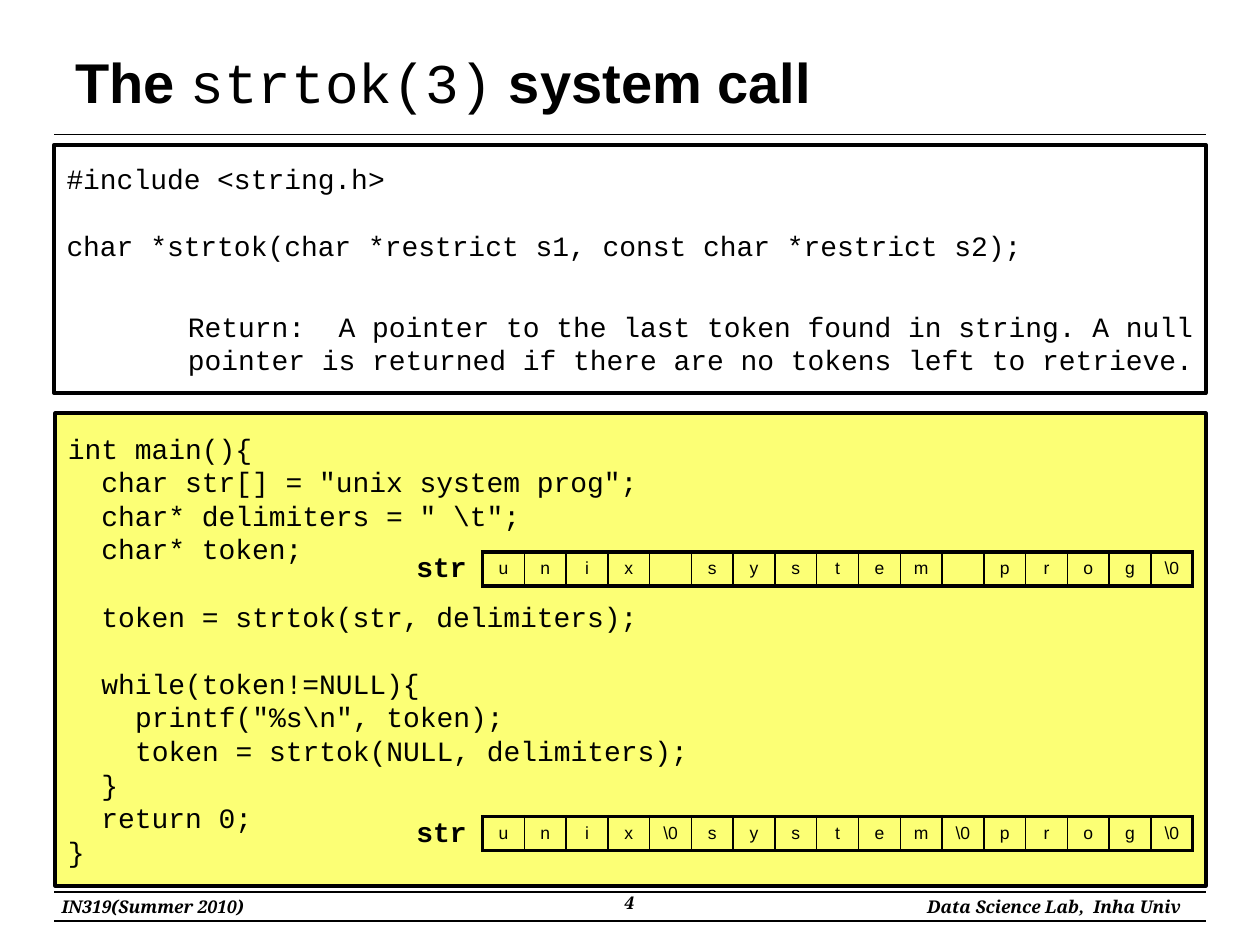
"""Build the strtok(3) slide with its prototype, sample code and memory strips."""
import pptx
import pptx.chart.data
import pptx.dml.color
import pptx.enum.shapes
import pptx.enum.text
import pptx.oxml
import pptx.oxml.ns
import pptx.util
from pptx.util import Inches, Pt

COLORS = {"ink": "000000", "paper": "FFFFFF", "code": "FCFF75"}
ALIGN = pptx.enum.text.PP_ALIGN
MIDDLE = pptx.enum.text.MSO_ANCHOR.MIDDLE
RECTANGLE = pptx.enum.shapes.MSO_SHAPE.RECTANGLE
NAMESPACE = pptx.oxml.ns.nsdecls("a")


def color(name):
    return pptx.dml.color.RGBColor.from_string(COLORS[name])


def style(paragraph, font_name, size, align=ALIGN.LEFT, bold=False, italic=False):
    paragraph.alignment = align
    font = paragraph.font
    font.name, font.size, font.bold, font.italic = font_name, Pt(size), bold, italic
    font.color.rgb = color("ink")


presentation = pptx.Presentation()
presentation.slide_width, presentation.slide_height = Inches(10), Inches(7.5)
slide = presentation.slides.add_slide(presentation.slide_layouts[6])

for y in (1.07, 7.08, 7.31):
    rule = slide.shapes.add_connector(
        pptx.enum.shapes.MSO_CONNECTOR.STRAIGHT, Inches(0.43), Inches(y), Inches(9.57), Inches(y))
    rule.line.color.rgb = color("ink")
    rule.line.width = Pt(0.75)
    rule._element.spPr.append(pptx.oxml.parse_xml(f"<a:effectLst {NAMESPACE}/>"))

title = slide.shapes.add_textbox(Inches(0.5), Inches(0.3), Inches(9), Inches(0.69))
title.text_frame.word_wrap = True
title.text_frame.vertical_anchor = MIDDLE
paragraph = title.text_frame.paragraphs[0]
style(paragraph, "Arial", 32)
for text, font_name, bold in (
        ("The ", "Arial", True), ("strtok(3)", "Courier New", False), (" system call", "Arial", True)):
    run = paragraph.add_run()
    run.text, run.font.name, run.font.bold = text, font_name, bold

labels = [
    ("IN319(Summer 2010)", 0.39, 7.06, 1.76, 0.27, "Noto Serif", 10, ALIGN.LEFT, True),
    ("Data Science Lab,  Inha Univ", 7.16, 7.06, 2.31, 0.27, "Noto Serif", 10, ALIGN.RIGHT, True),
    ("4", 3.83, 7.03, 2.33, 0.31, "Noto Serif", 10, ALIGN.CENTER, True),
]

prototype = [
    ("#include <string.h>", 0, 0, ALIGN.LEFT),
    ("char *strtok(char *restrict s1, const char *restrict s2);", 0, 19.2, ALIGN.LEFT),
    ("Return:  A pointer to the last token found in string. A null pointer is returned "
     "if there are no tokens left to retrieve.", 0, 27, ALIGN.RIGHT),
]
program = [
    ("int main(){", 0, 0, ALIGN.LEFT),
    ('char str[] = "unix system prog";', 1, 0, ALIGN.LEFT),
    ('char* delimiters = " \\t";', 1, 0, ALIGN.LEFT),
    ("char* token;", 1, 0, ALIGN.LEFT),
    ("token = strtok(str, delimiters);", 1, 19.2, ALIGN.LEFT),
    ("while(token!=NULL){", 1, 19.2, ALIGN.LEFT),
    ('printf("%s\\n", token);', 2, 0, ALIGN.LEFT),
    ("token = strtok(NULL, delimiters);", 2, 0, ALIGN.LEFT),
    ("}", 1, 0, ALIGN.LEFT),
    ("return 0;", 1, 0, ALIGN.LEFT),
    ("}", 0, 0, ALIGN.LEFT),
]
for lines, fill, left, top, width, height in (
        (prototype, "paper", 0.43, 1.15, 9.14, 1.97), (program, "code", 0.44, 3.28, 9.13, 3.75)):
    panel = slide.shapes.add_shape(RECTANGLE, Inches(left), Inches(top), Inches(width), Inches(height))
    panel.shadow.inherit = False
    panel.fill.solid()
    panel.fill.fore_color.rgb = color(fill)
    panel.line.color.rgb = color("ink")
    panel.line.width = Pt(2.25)
    frame = panel.text_frame
    frame.word_wrap = True
    frame.vertical_anchor = MIDDLE
    for index, (text, level, gap, align) in enumerate(lines):
        paragraph = frame.add_paragraph() if index else frame.paragraphs[0]
        paragraph.text = text
        style(paragraph, "Courier New", 16, align)
        paragraph.line_spacing = Pt(19.2)
        paragraph.space_before = Pt(gap)
        paragraph._p.get_or_add_pPr().set("marL", str(Inches(0.267 * level)))

for top, separator in ((4.38, ""), (6.48, "\\0")):
    letters = [separator if letter == " " else letter for letter in "unix system prog"] + ["\\0"]
    last = len(letters) - 1
    strip = slide.shapes.add_table(
        1, len(letters), Inches(3.83), Inches(top), Inches(5.64), Inches(0.27))
    table = strip.table
    table.first_row = table.horz_banding = False
    table.rows[0].height = Inches(0.27)
    for index, letter in enumerate(letters):
        table.columns[index].width = Inches(5.64 / len(letters))
        cell = table.cell(0, index)
        cell.margin_left = cell.margin_right = cell.margin_top = cell.margin_bottom = 0
        cell.vertical_anchor = MIDDLE
        cell.text = letter
        style(cell.text_frame.paragraphs[0], "Arial", 10, ALIGN.CENTER)
        properties = cell._tc.get_or_add_tcPr()
        borders = (("L", 1 if index else 2.25), ("R", 1 if index < last else 2.25), ("T", 2.25), ("B", 2.25))
        for side, weight in borders:
            properties.append(pptx.oxml.parse_xml(
                f'<a:ln{side} {NAMESPACE} w="{Pt(weight)}"><a:solidFill>'
                f'<a:srgbClr val="{COLORS["ink"]}"/></a:solidFill></a:ln{side}>'))
        cell.fill.background()
    labels.append(("str", 3.2, top - 0.07, 0.61, 0.37, "Courier New", 16, ALIGN.CENTER, False))

for text, left, top, width, height, font_name, size, align, italic in labels:
    label = slide.shapes.add_textbox(Inches(left), Inches(top), Inches(width), Inches(height))
    label.text_frame.word_wrap = False
    if not italic:
        label.text_frame.vertical_anchor = MIDDLE
    paragraph = label.text_frame.paragraphs[0]
    paragraph.text = text
    style(paragraph, font_name, size, align, True, italic)

presentation.save("out.pptx")
